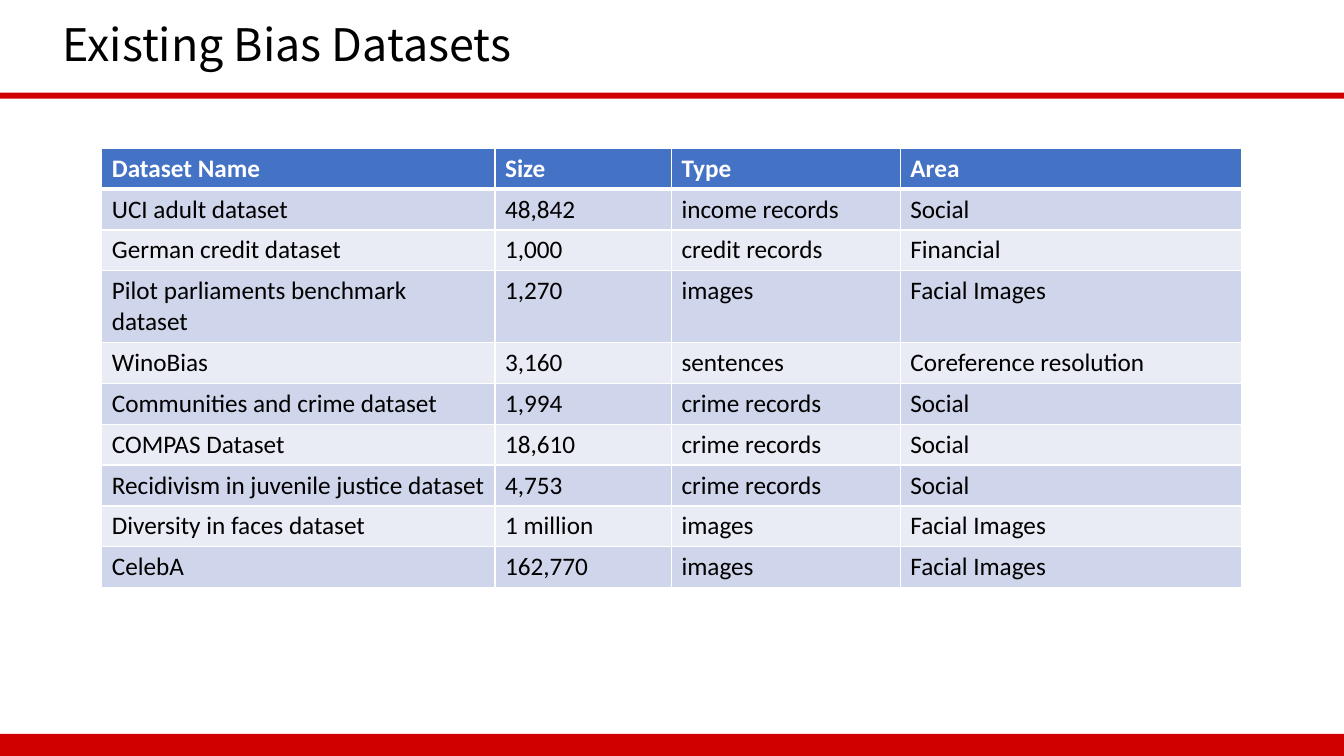
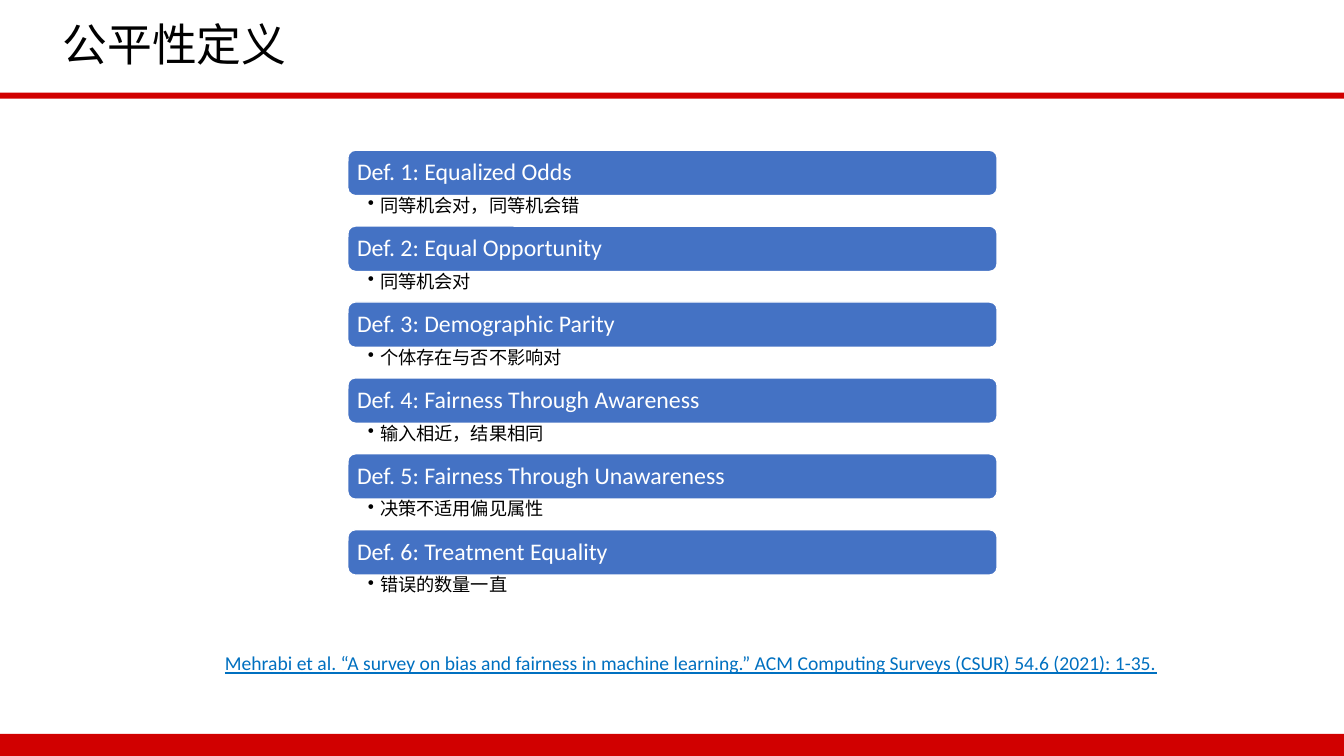
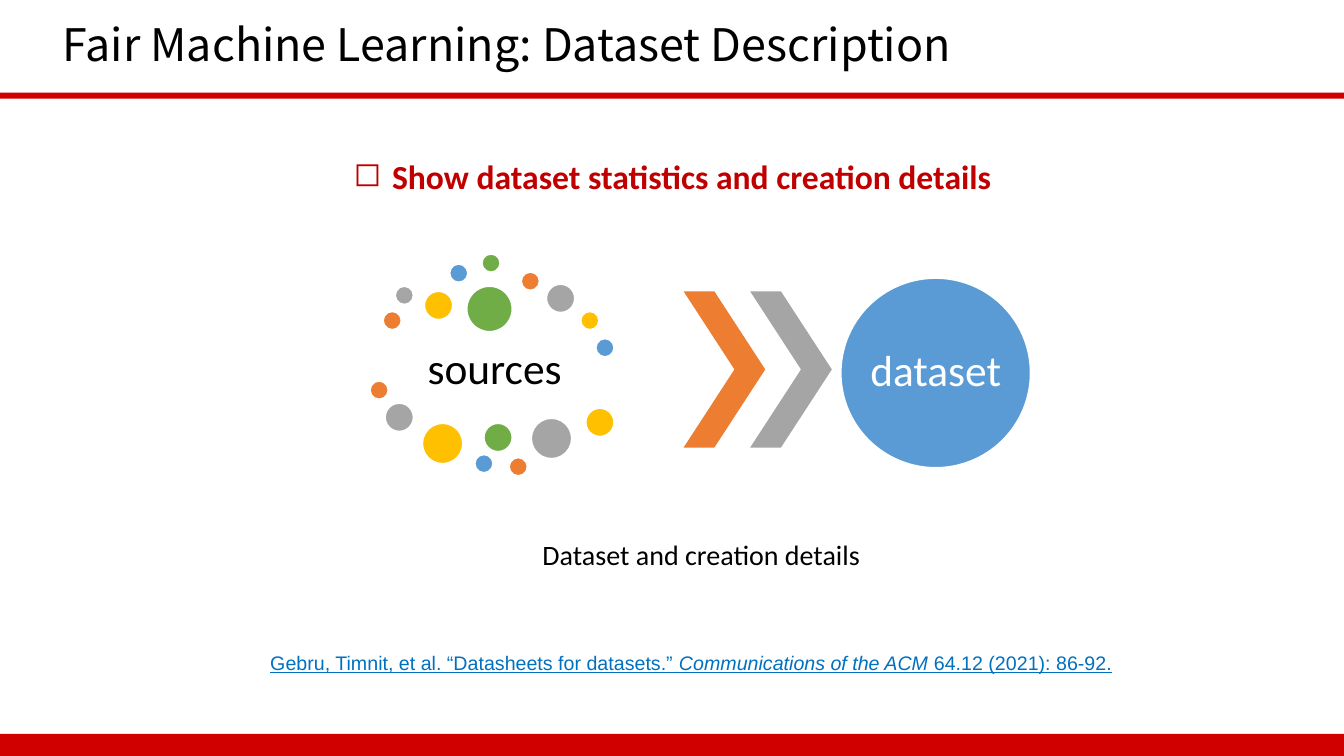
from lxml import etree
from pptx import Presentation
from pptx.dml.color import RGBColor
from pptx.enum.shapes import MSO_SHAPE
from pptx.enum.text import MSO_ANCHOR, MSO_AUTO_SIZE, PP_ALIGN
from pptx.oxml.ns import qn
from pptx.util import Inches, Pt

RECTANGLE = MSO_SHAPE.RECTANGLE
ROUNDED = MSO_SHAPE.ROUNDED_RECTANGLE
OVAL = MSO_SHAPE.OVAL
CHEVRON = MSO_SHAPE.CHEVRON
LEFT = PP_ALIGN.LEFT
CENTER = PP_ALIGN.CENTER
TOP = MSO_ANCHOR.TOP
MIDDLE = MSO_ANCHOR.MIDDLE
NO_AUTOFIT = MSO_AUTO_SIZE.NONE

BLACK = RGBColor(0x00, 0x00, 0x00)
WHITE = RGBColor(0xFF, 0xFF, 0xFF)
BAND_RED = RGBColor(0xD1, 0x00, 0x00)
TEXT_RED = RGBColor(0xC0, 0x00, 0x00)
LINK_BLUE = RGBColor(0x00, 0x70, 0xC0)
HEADER_BLUE = RGBColor(0x44, 0x72, 0xC4)
ROW_DARK = RGBColor(0xCF, 0xD5, 0xEA)
ROW_LIGHT = RGBColor(0xE9, 0xEB, 0xF5)
ORANGE = RGBColor(0xED, 0x7D, 0x31)
GRAY = RGBColor(0xA5, 0xA5, 0xA5)
YELLOW = RGBColor(0xFF, 0xC0, 0x00)
BLUE = RGBColor(0x5B, 0x9B, 0xD5)
GREEN = RGBColor(0x70, 0xAD, 0x47)

CJK_FONT = "Noto Sans CJK SC"
BODY_FONT = "Calibri"
SLIDE_WIDTH, SLIDE_HEIGHT = 13.33, 7.5
TITLE_ONLY = 5
DEFAULT_INSETS = (0.1, 0.05, 0.1, 0.05)

DATASETS = [
    ("Dataset Name", "Size", "Type", "Area"),
    ("UCI adult dataset", "48,842", "income records", "Social"),
    ("German credit dataset", "1,000", "credit records", "Financial"),
    ("Pilot parliaments benchmark dataset", "1,270", "images", "Facial Images"),
    ("WinoBias", "3,160", "sentences", "Coreference resolution"),
    ("Communities and crime dataset", "1,994", "crime records", "Social"),
    ("COMPAS Dataset", "18,610", "crime records", "Social"),
    ("Recidivism in juvenile justice dataset", "4,753", "crime records", "Social"),
    ("Diversity in faces dataset", "1 million", "images", "Facial Images"),
    ("CelebA", "162,770", "images", "Facial Images"),
]
COLUMN_WIDTHS = (3.9, 1.75, 2.27, 3.38)

DEFINITIONS = [
    ("Equalized Odds", "同等机会对，同等机会错"),
    ("Equal Opportunity", "同等机会对"),
    ("Demographic Parity", "个体存在与否不影响对"),
    ("Fairness Through Awareness", "输入相近，结果相同"),
    ("Fairness Through Unawareness", "决策不适用偏见属性"),
    ("Treatment Equality", "错误的数量一直"),
]

# Offset right, offset down, diameter, colour
SOURCE_DOTS = [
    (0.13, 0.57, 0.18, ORANGE), (0.25, 0.32, 0.18, GRAY),
    (0.54, 0.37, 0.28, YELLOW), (0.79, 0.1, 0.18, BLUE),
    (1.11, 0, 0.18, GREEN), (1.5, 0.18, 0.18, ORANGE),
    (1.75, 0.3, 0.28, GRAY), (2.09, 0.57, 0.18, YELLOW),
    (2.24, 0.84, 0.18, BLUE), (0.96, 0.32, 0.45, GREEN),
    (0, 1.26, 0.18, ORANGE), (0.15, 1.48, 0.28, GRAY),
    (0.52, 1.68, 0.4, YELLOW), (1.04, 1.99, 0.18, BLUE),
    (1.13, 1.68, 0.28, GREEN), (1.38, 2.02, 0.18, ORANGE),
    (1.6, 1.63, 0.4, GRAY), (2.14, 1.53, 0.28, YELLOW),
]


def set_attributes(target, values):
    for name, value in values.items():
        setattr(target, name, value)


def add_run(paragraph, text, size, color, name=BODY_FONT, east_asian=False, **styles):
    run = paragraph.add_run()
    run.text = text
    set_attributes(run.font, {"name": name, "size": Pt(size), **styles})
    run.font.color.rgb = color
    if east_asian:
        etree.SubElement(run.font._rPr, qn("a:ea"), typeface=CJK_FONT)


def set_bullet(paragraph, character, indent):
    properties = paragraph._p.get_or_add_pPr()
    properties.set("marL", str(Inches(indent)))
    properties.set("indent", str(-Inches(indent)))
    etree.SubElement(properties, qn("a:buChar"), char=character)


def prepare_text(shape, align=CENTER, anchor=MIDDLE, insets=DEFAULT_INSETS, spacing=0.9):
    """Format the text frame and return its first paragraph."""
    frame = shape.text_frame
    sides = ("margin_left", "margin_top", "margin_right", "margin_bottom")
    set_attributes(frame, {
        "word_wrap": True, "auto_size": NO_AUTOFIT, "vertical_anchor": anchor,
        **{side: Inches(inset) for side, inset in zip(sides, insets)},
    })
    paragraph = frame.paragraphs[0]
    set_attributes(paragraph, {"alignment": align, "line_spacing": spacing})
    return paragraph


def add_text_box(slide, left, top, width, height, **text_format):
    box = slide.shapes.add_textbox(*map(Inches, (left, top, width, height)))
    return prepare_text(box, **text_format)


def add_filled(slide, preset, left, top, width, height, color, outlined=False):
    shape = slide.shapes.add_shape(preset, *map(Inches, (left, top, width, height)))
    shape.shadow.inherit = False
    shape.fill.solid()
    shape.fill.fore_color.rgb = color
    if outlined:
        shape.line.color.rgb = WHITE
        shape.line.width = Pt(1)
    else:
        shape.line.fill.background()
    return shape


def move_bands_to_layout(slide):
    """Draw the red bands and hand them to the layout, so every slide shows them."""
    layout_tree = slide.slide_layout.shapes.element
    for number, (top, height) in enumerate([(7.28, 0.22), (0.92, 0.06)]):
        band = add_filled(slide, RECTANGLE, 0, top, SLIDE_WIDTH, height, BAND_RED)
        band.element.nvSpPr.cNvPr.set("id", str(100 + number))
        layout_tree.append(band.element)


def add_titled_slide(presentation, text, title_width=9.61):
    slide = presentation.slides.add_slide(presentation.slide_layouts[TITLE_ONLY])
    title = slide.shapes.title
    set_attributes(title, {
        "left": Inches(0.52), "top": Inches(0.15),
        "width": Inches(title_width), "height": Inches(0.63),
    })
    paragraph = prepare_text(title, align=LEFT)
    add_run(paragraph, text, 32, BLACK, name=CJK_FONT, east_asian=True)
    return slide


def add_citation(slide, parts, font_name):
    """Write (text, italic) parts as one centred line above the footer band."""
    paragraph = add_text_box(slide, 0.37, 6.41, 12.97, 0.34, anchor=TOP, spacing=1)
    for text, italic in parts:
        add_run(paragraph, text, 14, LINK_BLUE, name=font_name,
                underline=True, italic=italic)


def set_cell_borders(cell, bottom_width):
    properties = cell._tc.get_or_add_tcPr()
    for side, width in (("L", 1), ("R", 1), ("T", 1), ("B", bottom_width)):
        line = etree.SubElement(properties, qn(f"a:ln{side}"), w=str(Pt(width)))
        fill = etree.SubElement(line, qn("a:solidFill"))
        etree.SubElement(fill, qn("a:srgbClr"), val=str(WHITE))


def add_dataset_table(slide, left, top, row_height=0.4):
    table = slide.shapes.add_table(
        len(DATASETS), len(COLUMN_WIDTHS), Inches(left), Inches(top),
        Inches(sum(COLUMN_WIDTHS)), Inches(row_height * len(DATASETS))).table
    for column, width in zip(table.columns, COLUMN_WIDTHS):
        column.width = Inches(width)
    for row_index, values in enumerate(DATASETS):
        header = row_index == 0
        row_color = ROW_DARK if row_index % 2 else ROW_LIGHT
        for column_index, value in enumerate(values):
            cell = table.cell(row_index, column_index)
            set_cell_borders(cell, 3 if header else 1)
            cell.fill.solid()
            cell.fill.fore_color.rgb = HEADER_BLUE if header else row_color
            add_run(cell.text_frame.paragraphs[0], value, 18,
                    WHITE if header else BLACK, bold=header)


def add_definition_list(slide, left, top, width):
    pitch, bar_height, note_height = 0.753, 0.45, 0.31
    for index, (name, note) in enumerate(DEFINITIONS):
        bar_top = top + index * pitch
        bar = add_filled(slide, ROUNDED, left, bar_top, width, bar_height,
                         HEADER_BLUE, outlined=True)
        heading = prepare_text(bar, align=LEFT, insets=(0.07,) * 4)
        add_run(heading, f"Def. {index + 1}: {name}", 17, WHITE)
        paragraph = add_text_box(slide, left, bar_top + bar_height - 0.01, width,
                                 note_height, align=LEFT, anchor=TOP,
                                 insets=(0.2, 0.02, 0.13, 0.02))
        set_bullet(paragraph, "•", 0.12)
        add_run(paragraph, note, 13, BLACK, east_asian=True)


def add_source_cloud(slide, left, top):
    label = add_text_box(slide, left + 0.13, top + 0.79, 2.21, 0.73, insets=(0.04,) * 4)
    add_run(label, "sources", 31, BLACK)
    for right, down, diameter, color in SOURCE_DOTS:
        add_filled(slide, OVAL, left + right, top + down, diameter, diameter,
                   color, outlined=True)


def add_dataset_flow(slide, left, top):
    """Draw sources, two chevrons, the dataset circle and the caption below."""
    add_source_cloud(slide, left, top)
    for index, color in enumerate((ORANGE, GRAY)):
        chevron = add_filled(slide, CHEVRON, left + 3.11 + index * 0.66, top + 0.37,
                             0.81, 1.55, color)
        chevron.adjustments[0] = 0.623
    circle = add_filled(slide, OVAL, left + 4.67, top + 0.24, 1.88, 1.88, BLUE,
                        outlined=True)
    add_run(prepare_text(circle, insets=(0,) * 4), "dataset", 31, WHITE)
    caption = add_text_box(slide, left + 1.41, top + 2.32, 3.75, 1.36,
                           insets=(0.03,) * 4)
    add_run(caption, "Dataset and creation details", 20, BLACK)


def add_key_point(slide, left, top, width, height):
    paragraph = add_text_box(slide, left, top, width, height, anchor=TOP, spacing=1)
    set_bullet(paragraph, "◻", 0.38)
    add_run(paragraph, "Show dataset statistics and creation details", 24,
            TEXT_RED, bold=True)


def main():
    presentation = Presentation()
    presentation.slide_width = Inches(SLIDE_WIDTH)
    presentation.slide_height = Inches(SLIDE_HEIGHT)

    datasets = add_titled_slide(presentation, "Existing Bias Datasets")
    move_bands_to_layout(datasets)
    add_dataset_table(datasets, 1.01, 1.47)

    definitions = add_titled_slide(presentation, "公平性定义")
    add_definition_list(definitions, 3.45, 1.49, 6.44)
    add_citation(definitions, [
        ("Mehrabi et al. “A survey on bias and fairness in machine learning.” "
         "ACM Computing Surveys (CSUR) 54.6 (2021): 1-35.", False),
    ], BODY_FONT)

    description = add_titled_slide(
        presentation, "Fair Machine Learning: Dataset Description", 11.26)
    add_key_point(description, 2.25, 1.5, 8.84, 0.5)
    add_dataset_flow(description, 3.67, 2.52)
    add_citation(description, [
        ("Gebru, Timnit, et al. “Datasheets for datasets.” ", False),
        ("Communications of the ACM", True),
        (" 64.12 (2021): 86-92.", False),
    ], "Arial")

    presentation.save("out.pptx")


if __name__ == "__main__":
    main()
